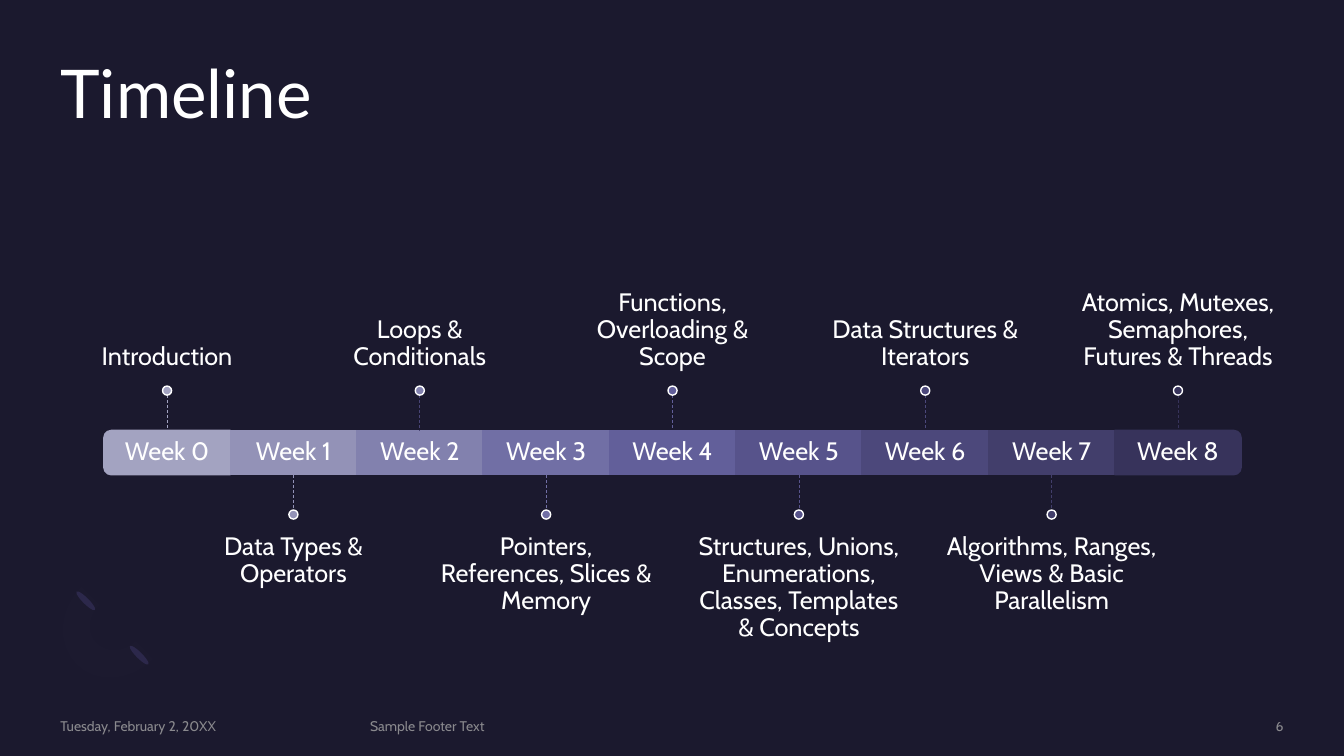
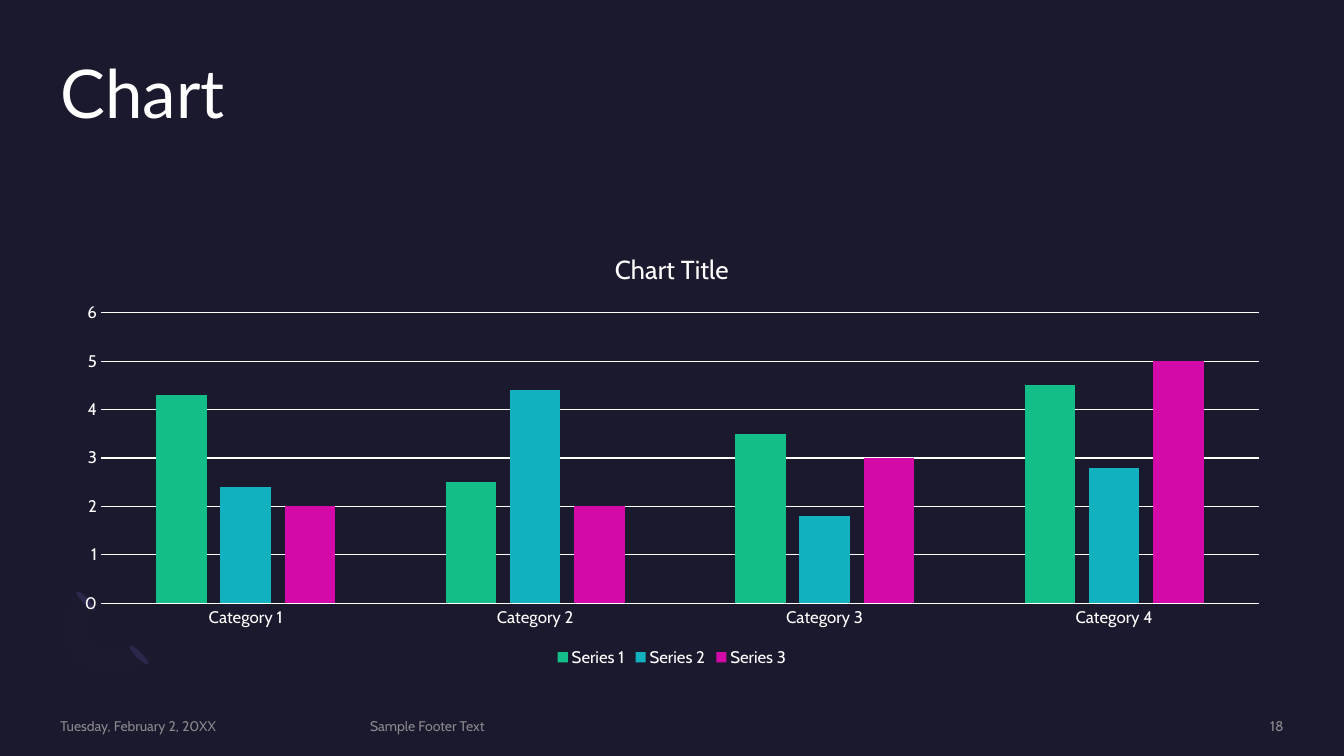
import pptx
import pptx.chart.data
import pptx.dml.color
import pptx.enum.chart
import pptx.enum.dml
import pptx.enum.shapes
import pptx.enum.text
import pptx.oxml.ns
import pptx.util
from lxml import etree

Inches = pptx.util.Inches
Pt = pptx.util.Pt
SHAPE = pptx.enum.shapes.MSO_SHAPE
ALIGN = pptx.enum.text.PP_ALIGN
ANCHOR = pptx.enum.text.MSO_ANCHOR

COLORS = {
    "back": "1B192E", "text": "FFFFFF", "foot": "A6A6A6",
    "leaf": "2C284A", "ring": "7771B2",
    "green": "13BE89", "teal": "12B1BF", "pink": "D40AA8",
}
HEAD, BODY = "Lato", "Cabin"
LEFT, WIDE = 0.6, 12.13

# Label, bar colour and stem colour of each week
WEEKS = [
    ("Introduction", "A3A3C1", "A3A3C1"),
    ("Data Types & Operators", "9392B7", "9392B7"),
    ("Loops & Conditionals", "8281AE", "484475"),
    ("Pointers, References, Slices & Memory", "716FA5", "716FA5"),
    ("Functions, Overloading & Scope", "625F9A", "625F9A"),
    ("Structures, Unions, Enumerations, Classes, Templates & Concepts",
     "57538B", "57538B"),
    ("Data Structures & Iterators", "4C487B", "4C487B"),
    ("Algorithms, Ranges, Views & Basic Parallelism", "423E6B", "423E6B"),
    ("Atomics, Mutexes, Semaphores, Futures & Threads", "37335B", "37335B"),
]
SERIES = [
    ("Series 1", (4.3, 2.5, 3.5, 4.5), "green"),
    ("Series 2", (2.4, 4.4, 1.8, 2.8), "teal"),
    ("Series 3", (2, 2, 3, 5), "pink"),
]


def rgb(code):
    return pptx.dml.color.RGBColor.from_string(code)


def apply(item, form):
    for name, value in form.items():
        setattr(item, name, value)


def paint(fill, code):
    fill.solid()
    fill.fore_color.rgb = rgb(code)


def style(font, size, face=BODY, code=COLORS["text"]):
    apply(font, {"size": Pt(size), "name": face})
    font.color.rgb = rgb(code)


def fade(node, share):
    """Set the opacity, in percent, of the colours below an XML node."""
    for color in node.iter(pptx.oxml.ns.qn("a:srgbClr")):
        alpha = etree.SubElement(color, pptx.oxml.ns.qn("a:alpha"))
        alpha.set("val", str(share * 1000))


def write(slide, box, text, size=18, face=BODY, code=COLORS["text"],
          align=ALIGN.LEFT, space=1.0, **form):
    """Add a text box; form holds further text frame settings."""
    frame = slide.shapes.add_textbox(*map(Inches, box)).text_frame
    base = dict.fromkeys(
        ("margin_left", "margin_right", "margin_top", "margin_bottom"), 0)
    apply(frame, {**base, "word_wrap": True, **form})
    para = frame.paragraphs[0]
    apply(para, {"alignment": align, "line_spacing": space})
    run = para.add_run()
    run.text = text
    style(run.font, size, face, code)
    return run


def draw(slide, kind, box, code, edge=None, turn=0):
    shape = slide.shapes.add_shape(kind, *map(Inches, box))
    shape.shadow.inherit = False
    shape.rotation = turn
    paint(shape.fill, code)
    if edge:
        paint(shape.line.fill, edge)
        shape.line.width = Pt(1)
    else:
        shape.line.fill.background()


def stem(slide, x, top, base, code):
    """Add a thin dashed upright line."""
    line = slide.shapes.add_connector(
        pptx.enum.shapes.MSO_CONNECTOR.STRAIGHT,
        *map(Inches, (x, top, x, base)))
    paint(line.line.fill, code)
    apply(line.line, {"width": Pt(0.5),
                      "dash_style": pptx.enum.dml.MSO_LINE.DASH})
    props = line.element.spPr
    etree.SubElement(props, pptx.oxml.ns.qn("a:effectLst"))


def curve(*knots, steps=8):
    """Return points along a cubic curve given by its four knots."""
    dots = []
    for step in range(steps + 1):
        t = step / steps
        parts = ((1 - t) ** 3, 3 * t * (1 - t) ** 2,
                 3 * t * t * (1 - t), t ** 3)
        dots.append(tuple(sum(w * k[axis] for w, k in zip(parts, knots))
                          for axis in (0, 1)))
    return dots


def decor(slide):
    for x, y in ((1.35, 6.37), (0.82, 5.83)):
        draw(slide, SHAPE.OVAL, (x, y, 0.06, 0.26), COLORS["leaf"], turn=135)
    dots = (curve((0.76, 6.59), (0.56, 6.39), (0.58, 6.05), (0.81, 5.82))
            + curve((0.99, 6), (0.87, 6.11), (0.86, 6.29), (0.96, 6.38))
            + curve((0.96, 6.38), (1.06, 6.48), (1.23, 6.47), (1.35, 6.36))
            + curve((1.52, 6.54), (1.3, 6.76), (0.95, 6.79), (0.76, 6.59)))
    path = [(Inches(x), Inches(y)) for x, y in dots]
    pen = slide.shapes.build_freeform(*path[0])
    pen.add_line_segments(path[1:], close=True)
    ring = pen.convert_to_shape()
    ring.shadow.inherit = False
    paint(ring.fill, COLORS["ring"])
    fade(ring.element.spPr, 1)
    ring.line.fill.background()


def start(deck, title, page):
    """Add a slide with what all slides share."""
    slide = deck.slides.add_slide(deck.slide_layouts[6])
    paint(slide.background.fill, COLORS["back"])
    decor(slide)
    write(slide, (LEFT, 0.6, WIDE, 1.46), title, 48, HEAD, space=0.9)
    for x, width, text, align in (
            (LEFT, 2.88, "Tuesday, February 2, 20XX", ALIGN.LEFT),
            (3.67, 6.98, "Sample Footer Text", ALIGN.LEFT),
            (10.88, 1.85, str(page), ALIGN.RIGHT)):
        run = write(slide, (x, 7.12, width, 0.17), text, 10,
                    code=COLORS["foot"], align=align,
                    vertical_anchor=ANCHOR.MIDDLE)
        fade(run.font._element, 80)
    return slide


def weeks(slide):
    left, top, high = 1.03, 4.27, 0.44
    step = 11.28 / len(WEEKS)
    note, tall, dot, reach = 2.09, 1.52, 0.09, 0.35
    base = top + high
    turns = {0: 270, len(WEEKS) - 1: 90}
    center = {"align": ALIGN.CENTER, "space": 0.9}
    for i, (text, code, dash) in enumerate(WEEKS):
        x = left + i * step
        mid = x + step / 2
        cell = (x, top, step, high)
        if i in turns:
            upright = (mid - high / 2, top + (high - step) / 2, high, step)
            draw(slide, SHAPE.ROUND_2_SAME_RECTANGLE, upright, code, code,
                 turns[i])
        else:
            draw(slide, SHAPE.RECTANGLE, cell, code, code)
        write(slide, cell, f"Week {i}", vertical_anchor=ANCHOR.MIDDLE,
              **center)
        if i % 2:
            y, line, knob = 5.14, (base, base + reach), base + reach
            form = {"vertical_anchor": ANCHOR.TOP, "margin_top": Inches(0.15)}
        else:
            y, line, knob = 2.31, (top - reach, top), top - reach - dot
            form = {"vertical_anchor": ANCHOR.BOTTOM,
                    "margin_bottom": Inches(0.15)}
        write(slide, (mid - note / 2, y, note, tall), text, **center, **form)
        stem(slide, mid, *line, dash)
        draw(slide, SHAPE.OVAL, (mid - dot / 2, knob, dot, dot), code,
             COLORS["text"])


def rule(line):
    paint(line.fill, COLORS["text"])
    line.width = Pt(0.75)


def bars(slide):
    enum = pptx.enum.chart
    data = pptx.chart.data.CategoryChartData()
    data.categories = [f"Category {n}" for n in range(1, 5)]
    for name, values, _ in SERIES:
        data.add_series(name, values)
    chart = slide.shapes.add_chart(
        enum.XL_CHART_TYPE.COLUMN_CLUSTERED,
        *map(Inches, (LEFT, 2.31, WIDE, 4.35)), data).chart
    style(chart.font, 10)
    apply(chart, {"has_title": True, "has_legend": True})
    frame = chart.chart_title.text_frame
    frame.text = "Chart Title"
    font = frame.paragraphs[0].runs[0].font
    style(font, 18.6)
    font.bold = False
    chart.chart_title.include_in_layout = False
    apply(chart.legend, {"position": enum.XL_LEGEND_POSITION.BOTTOM,
                         "include_in_layout": False})
    style(chart.legend.font, 12)

    plot = chart.plots[0]
    apply(plot, {"gap_width": 219, "overlap": -27,
                 "vary_by_categories": False})
    for part, (_, _, tone) in zip(plot.series, SERIES):
        paint(part.format.fill, COLORS[tone])

    cats, vals = chart.category_axis, chart.value_axis
    for axis in (cats, vals):
        apply(axis, {"major_tick_mark": enum.XL_TICK_MARK.NONE,
                     "minor_tick_mark": enum.XL_TICK_MARK.NONE})
        style(axis.tick_labels.font, 12)
    apply(vals, {"minimum_scale": 0, "maximum_scale": 6, "major_unit": 1,
                 "has_major_gridlines": True})
    rule(cats.format.line)
    rule(vals.major_gridlines.format.line)
    vals.format.line.fill.background()


def main():
    deck = pptx.Presentation()
    apply(deck, {"slide_width": Inches(13.33), "slide_height": Inches(7.5)})
    weeks(start(deck, "Timeline", 6))
    bars(start(deck, "Chart", 18))
    deck.save("out.pptx")


if __name__ == "__main__":
    main()
